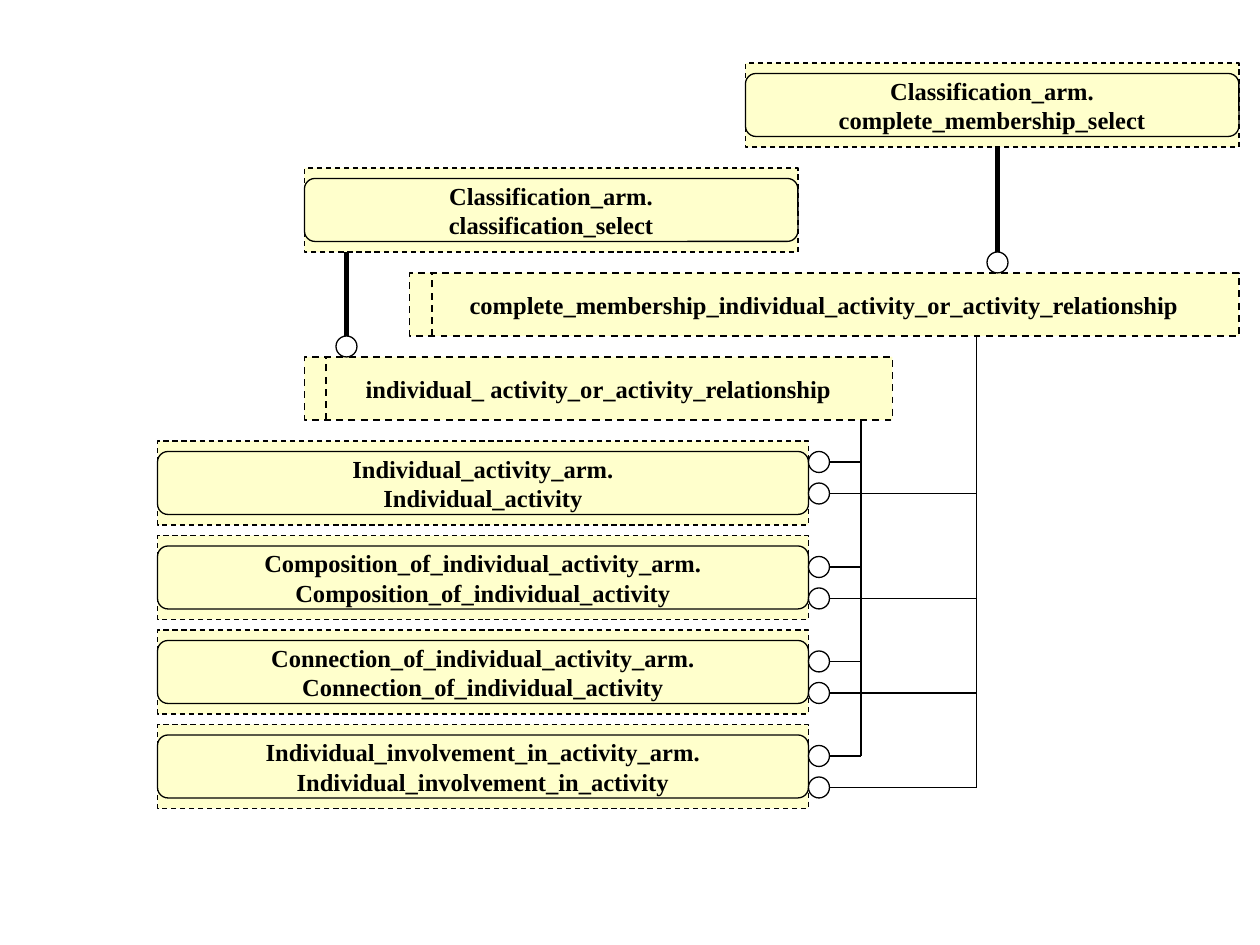
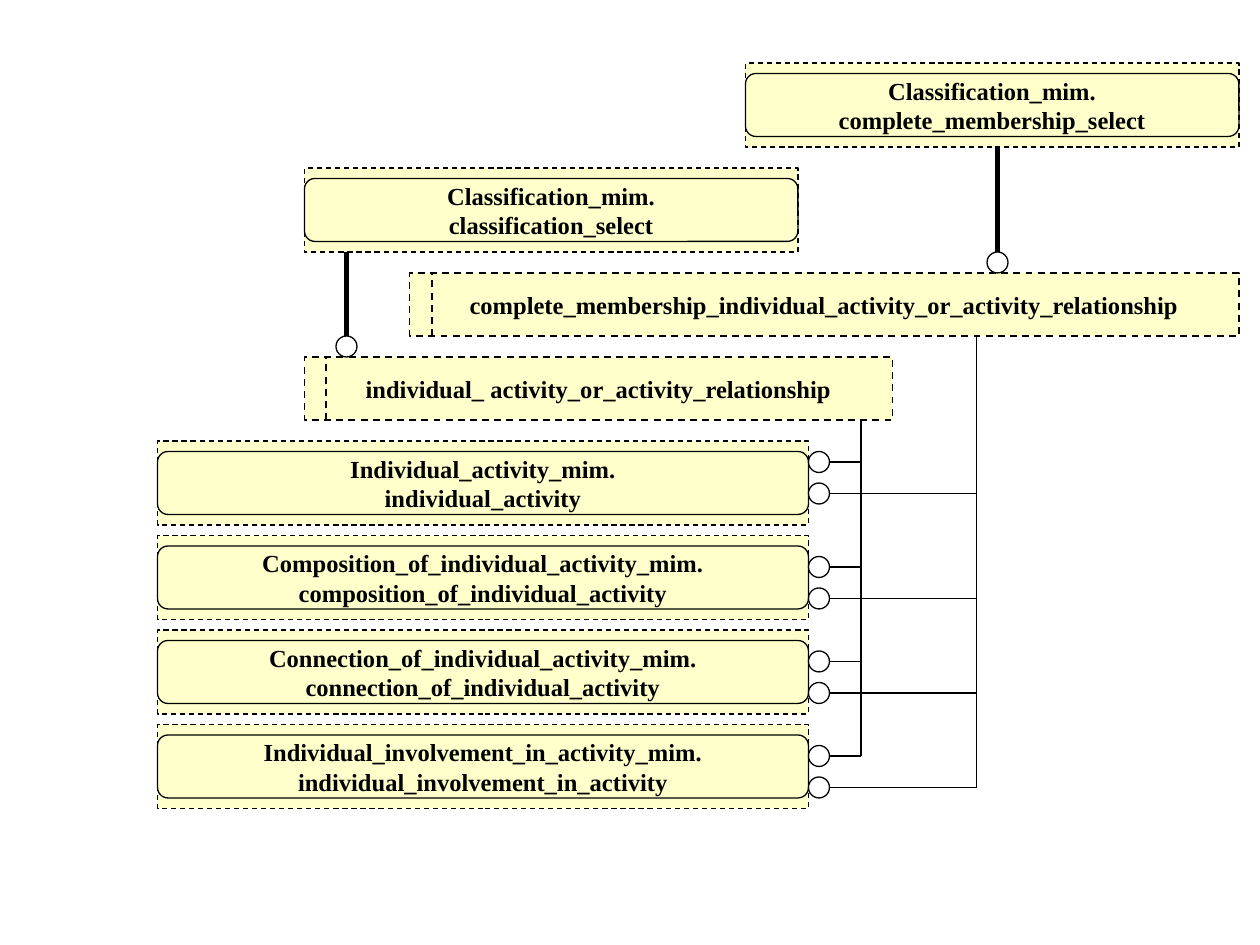
import pptx
import pptx.dml.color
import pptx.enum.dml
import pptx.enum.shapes
import pptx.enum.text
import pptx.oxml
import pptx.util

Pt = pptx.util.Pt
Shape = pptx.enum.shapes.MSO_SHAPE
DASH = pptx.enum.dml.MSO_LINE.DASH

# Shared look
BLACK = "000000"
WHITE = "FFFFFF"
CREAM = "FFFFCC"
LABEL_FONT = {"name": "Times New Roman", "size": Pt(14), "bold": True}
FRAME = {"word_wrap": False,
         "vertical_anchor": pptx.enum.text.MSO_ANCHOR.MIDDLE,
         "margin_left": Pt(7.2), "margin_right": Pt(7.2),
         "margin_top": Pt(3.6), "margin_bottom": Pt(3.6)}

# Shared layout, in points
CIRCLE = 12
ENTITY_LEFT, ENTITY_WIDTH, ENTITY_TOP, ENTITY_STEP = 90, 372, 252, 54
BOX_HEIGHT, INNER_HEIGHT, TYPE_HEIGHT = 48, 36, 36
INSET = (BOX_HEIGHT - INNER_HEIGHT) / 2
TRUNKS = [492, 558]          # x of the two vertical branch lines
TRUNK_TOPS = [240, 192]      # bottoms of the select types they leave

# Select types: label, left, top, width, x of the inner dashed bar
SELECT_TYPES = [
    ("individual_ activity_or_activity_relationship", 174, 204, 336, 186.5),
    ("complete_membership_individual_activity_or_activity_relationship",
     234, 156, 474, 247),
]
# Base selects: name, left, top, x of the thick line, top of its circle
BASE_SELECTS = [
    ("classification_select", 174, 96, 198, 192),
    ("complete_membership_select", 426, 36, 570, 144),
]
ENTITIES = ["Individual_activity", "Composition_of_individual_activity",
            "Connection_of_individual_activity",
            "Individual_involvement_in_activity"]


def rgb(hex_string):
    return pptx.dml.color.RGBColor.from_string(hex_string)


def add_part(shapes, kind, place, fill=None, weight=0.75, dash=None, lines=()):
    """Add a preset shape, or a straight line when kind is None."""
    lengths = [Pt(value) for value in place]
    if kind is None:
        straight = pptx.enum.shapes.MSO_CONNECTOR.STRAIGHT
        part = shapes.add_connector(straight, *lengths)
        part._element.spPr.append(pptx.oxml.parse_xml(
            '<a:effectLst xmlns:a="http://schemas.openxmlformats.org/drawingml/2006/main"/>'))
    else:
        part = shapes.add_shape(kind, *lengths)
        part.shadow.inherit = False
        if fill:
            part.fill.solid()
            part.fill.fore_color.rgb = rgb(fill)
        else:
            part.fill.background()
    part.line.color.rgb = rgb(BLACK)
    part.line.width = Pt(weight)
    if dash:
        part.line.dash_style = dash
    if lines:
        for key, value in FRAME.items():
            setattr(part.text_frame, key, value)
    for index, text in enumerate(lines):
        frame = part.text_frame
        paragraph = frame.add_paragraph() if index else frame.paragraphs[0]
        paragraph.alignment = pptx.enum.text.PP_ALIGN.CENTER
        run = paragraph.add_run()
        run.text = text
        for key, value in LABEL_FONT.items():
            setattr(run.font, key, value)
        run.font.color.rgb = rgb(BLACK)
    return part


deck = pptx.Presentation()
deck.slide_width, deck.slide_height = Pt(720), Pt(540)

for schema in ("arm", "mim"):
    shapes = deck.slides.add_slide(deck.slide_layouts[6]).shapes

    # Select types with their dashed inner bar
    for label, left, top, width, bar in SELECT_TYPES:
        group = shapes.add_group_shape().shapes
        add_part(group, Shape.RECTANGLE, (left, top, width, TYPE_HEIGHT),
                 CREAM, 1, DASH, [label])
        add_part(group, None, (bar, top + TYPE_HEIGHT, bar, top), weight=1, dash=DASH)

    # Referenced items: dashed box with a rounded box inside
    boxes = [(f"Classification_{schema}.", name, left, top, 282)
             for name, left, top, _, _ in BASE_SELECTS]
    for row, name in enumerate(ENTITIES):
        entity = name if schema == "arm" else name.lower()
        boxes.append((f"{name}_{schema}.", entity, ENTITY_LEFT,
                      ENTITY_TOP + row * ENTITY_STEP, ENTITY_WIDTH))
    for owner, item, left, top, width in boxes:
        group = shapes.add_group_shape().shapes
        add_part(group, Shape.RECTANGLE, (left, top, width, BOX_HEIGHT),
                 CREAM, dash=DASH, lines=[owner, item])
        rounded = add_part(group, Shape.ROUNDED_RECTANGLE,
                           (left, top + INSET, width, INNER_HEIGHT))
        rounded.adjustments[0] = 0.167

    # Thick lines from the base selects to their extensions
    for _, _, box_top, x, circle_top in BASE_SELECTS:
        circle = add_part(shapes, Shape.OVAL,
                          (x - CIRCLE / 2, circle_top, CIRCLE, CIRCLE), WHITE)
        extension = add_part(shapes, None,
                             (x, box_top + BOX_HEIGHT, x, circle_top), weight=3)
        extension.end_connect(circle, 0)

    # Branches from each trunk to every entity
    for branch, (trunk, trunk_top) in enumerate(zip(TRUNKS, TRUNK_TOPS)):
        for row in range(len(ENTITIES)):
            offset = (12 if row else 6) + branch * 18
            circle_top = ENTITY_TOP + row * ENTITY_STEP + offset
            circle_left = ENTITY_LEFT + ENTITY_WIDTH
            middle = circle_top + CIRCLE / 2
            add_part(shapes, Shape.OVAL,
                     (circle_left, circle_top, CIRCLE, CIRCLE), WHITE)
            add_part(shapes, None, (circle_left + CIRCLE, middle, trunk, middle))
        add_part(shapes, None, (trunk, middle, trunk, trunk_top))

deck.save("out.pptx")
